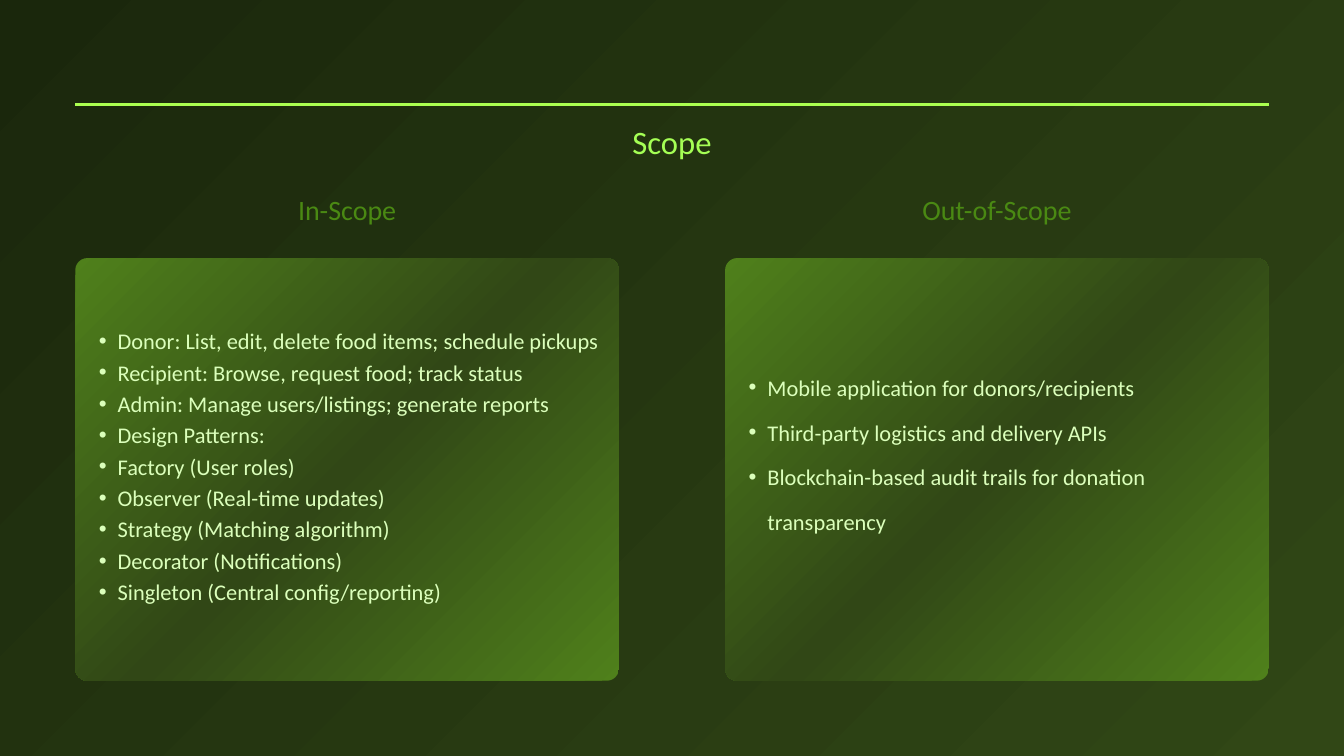
from copy import deepcopy

from lxml import etree
from pptx import Presentation
from pptx.dml.color import RGBColor
from pptx.enum.shapes import MSO_CONNECTOR, MSO_SHAPE
from pptx.enum.text import MSO_ANCHOR, PP_ALIGN
from pptx.oxml.ns import qn
from pptx.util import Inches, Pt

STRAIGHT = MSO_CONNECTOR.STRAIGHT
ROUNDED = MSO_SHAPE.ROUNDED_RECTANGLE
CENTER = PP_ALIGN.CENTER
MIDDLE = MSO_ANCHOR.MIDDLE

FONT = "Calibri"
COLORS = {
    "night": "1A270C",
    "forest": "314716",
    "leaf": "4F801B",
    "rule": "ABFF50",
    "title": "A5FF55",
    "heading": "4A8913",
    "body": "DBFFBB",
}

SLIDE_W, SLIDE_H = 20, 11.25
MARGIN = 1.12
COLUMN_W = 8.09
CARD_TOP, CARD_H = 3.84, 6.29
CARD_BOTTOM = CARD_TOP + CARD_H
CORNER = 0.18

# heading, top of the text area, line spacing in points, items
COLUMNS = [
    ("In-Scope", 3.68, 33.6, [
        "Donor: List, edit, delete food items; schedule pickups",
        "Recipient: Browse, request food; track status",
        "Admin: Manage users/listings; generate reports",
        "Design Patterns:",
        "Factory (User roles)",
        "Observer (Real-time updates)",
        "Strategy (Matching algorithm)",
        "Decorator (Notifications)",
        "Singleton (Central config/reporting)",
    ]),
    ("Out-of-Scope", 3.13, 48, [
        "Mobile application for donors/recipients",
        "Third-party logistics and delivery APIs",
        "Blockchain-based audit trails for donation transparency",
    ]),
]


def rgb(name):
    return RGBColor.from_string(COLORS[name])


def diagonal_gradient(fill, element, names):
    """Fill from top left to bottom right with evenly spaced colours."""
    fill.gradient()
    fill.gradient_angle = 315
    stop_list = next(element.iter(qn("a:gsLst")))
    while len(stop_list) < len(names):
        stop_list.append(deepcopy(stop_list[0]))
    for i, (stop, name) in enumerate(zip(fill.gradient_stops, names)):
        stop.color.rgb = rgb(name)
        stop.position = i / (len(names) - 1)


def add_text_area(slide, left, top, width, height, inset=0):
    area = slide.shapes.add_textbox(
        Inches(left), Inches(top), Inches(width), Inches(height))
    frame = area.text_frame
    frame.word_wrap = True
    frame.margin_left = frame.margin_right = Inches(inset)
    frame.margin_top = frame.margin_bottom = Inches(inset)
    return frame


def add_run(paragraph, text, size, color):
    run = paragraph.add_run()
    run.text = text
    run.font.name = FONT
    run.font.size = Pt(size)
    run.font.color.rgb = rgb(color)


def add_heading(slide, text, left, top, width, height, size, spacing, color):
    line = add_text_area(slide, left, top, width, height).paragraphs[0]
    line.alignment = CENTER
    line.line_spacing = Pt(spacing)
    add_run(line, text, size, color)


def make_bullet(paragraph):
    paragraph.level = 1
    props = paragraph._p.get_or_add_pPr()
    props.set("marL", str(Inches(0.57)))
    props.set("indent", str(Inches(-0.28)))
    etree.SubElement(props, qn("a:buFont")).set("typeface", "Arial")
    etree.SubElement(props, qn("a:buChar")).set("char", "•")


def add_header(slide, left, top, width):
    rule = slide.shapes.add_connector(
        STRAIGHT, Inches(left), Inches(top), Inches(left + width), Inches(top))
    rule.line.color.rgb = rgb("rule")
    rule.line.width = Pt(3)
    etree.SubElement(rule._element.spPr, qn("a:effectLst"))
    title_w = 7.05
    add_heading(slide, "Scope", left + (width - title_w) / 2, top + 0.3,
                title_w, 0.54, 35, 38.9, "title")


def add_column(slide, left, width, heading, text_top, spacing, items):
    card = slide.shapes.add_shape(
        ROUNDED, Inches(left), Inches(CARD_TOP), Inches(width), Inches(CARD_H))
    card.adjustments[0] = CORNER / CARD_H
    card.shadow.inherit = False
    card.line.fill.background()
    diagonal_gradient(card.fill, card._element, ["leaf", "forest", "leaf"])

    frame = add_text_area(
        slide, left, text_top, width, CARD_BOTTOM - text_top, inset=0.06)
    frame.vertical_anchor = MIDDLE
    for i, item in enumerate(items):
        paragraph = frame.add_paragraph() if i else frame.paragraphs[0]
        paragraph.line_spacing = Pt(spacing)
        make_bullet(paragraph)
        add_run(paragraph, item, 24, "body")

    add_heading(slide, heading, left, 2.91, width, 0.46, 30, 33.3, "heading")


def main():
    prs = Presentation()
    prs.slide_width, prs.slide_height = Inches(SLIDE_W), Inches(SLIDE_H)
    slide = prs.slides.add_slide(prs.slide_layouts[6])
    diagonal_gradient(
        slide.background.fill, slide._element, ["night", "forest"])

    content_w = SLIDE_W - 2 * MARGIN
    add_header(slide, MARGIN, 1.56, content_w)
    step = content_w - COLUMN_W
    for i, column in enumerate(COLUMNS):
        add_column(slide, MARGIN + i * step, COLUMN_W, *column)
    prs.save("out.pptx")


if __name__ == "__main__":
    main()
